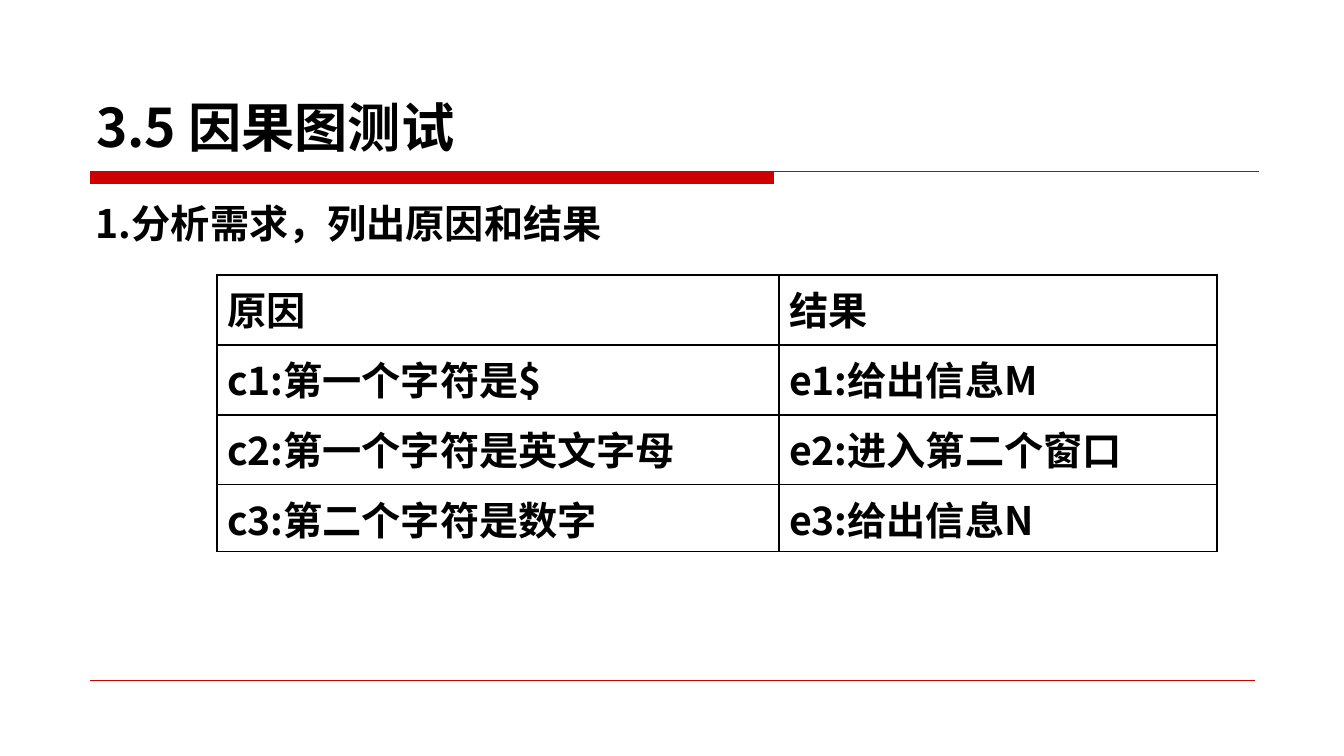
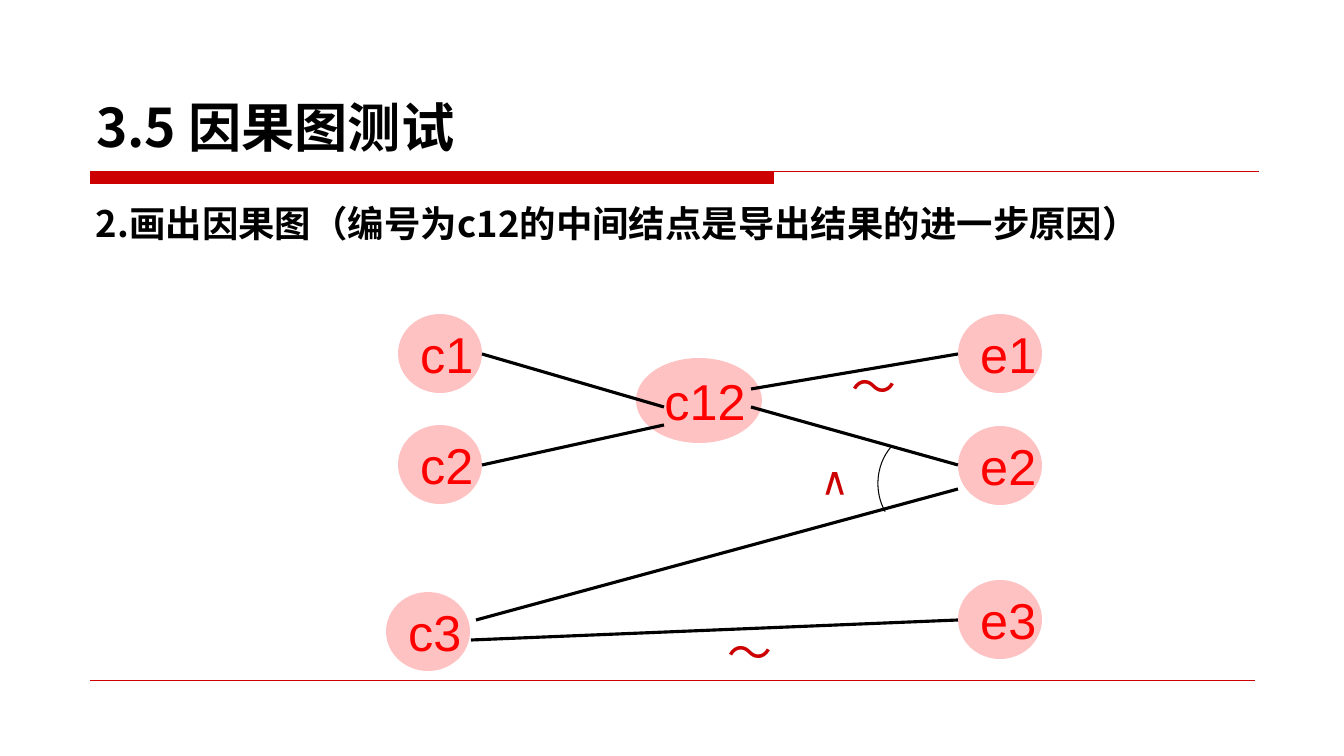
from lxml import etree
from pptx import Presentation
from pptx.dml.color import RGBColor
from pptx.enum.shapes import MSO_CONNECTOR, MSO_SHAPE
from pptx.enum.text import MSO_ANCHOR, MSO_AUTO_SIZE, PP_ALIGN
from pptx.oxml import parse_xml
from pptx.oxml.ns import nsdecls, qn
from pptx.util import Pt

PX = 9071  # EMU per px
BLACK = RGBColor(0x00, 0x00, 0x00)
WHITE = RGBColor(0xFF, 0xFF, 0xFF)
CRIMSON = RGBColor(0xCC, 0x00, 0x00)
RED = RGBColor(0xFF, 0x00, 0x00)
PINK = RGBColor(0xFF, 0xC2, 0xC2)
CJK_FONT = "Noto Sans CJK SC"
SYMBOL_FONT = "DejaVu Sans"


def style(paragraph, size, font=CJK_FONT, colour=BLACK, bold=True):
    """Format a paragraph, using the font for Latin and East Asian text."""
    paragraph.alignment = PP_ALIGN.LEFT
    paragraph.font.size = Pt(size)
    paragraph.font.bold = bold
    paragraph.font.color.rgb = colour
    paragraph.font.name = font
    defaults = paragraph._p.pPr.find(qn("a:defRPr"))
    etree.SubElement(defaults, qn("a:ea")).set("typeface", font)


def add_line(slide, start, end, colour, width):
    """Draw a straight line without shadow between two points in px."""
    line = slide.shapes.add_connector(
        MSO_CONNECTOR.STRAIGHT, *(value * PX for value in start + end))
    line.line.color.rgb = colour
    line.line.width = Pt(width)
    etree.SubElement(line._element.spPr, qn("a:effectLst"))


prs = Presentation()
prs.slide_width, prs.slide_height = 1344 * PX, 756 * PX

# Title, bands and step heading of both slides
steps = [
    ("1.分析需求，列出原因和结果", 28, 180),
    ("2.画出因果图（编号为c12的中间结点是导出结果的进一步原因）", 26, 183),
]
for step, size, top in steps:
    slide = prs.slides.add_slide(prs.slide_layouts[5])
    title = slide.shapes.title
    title.left, title.top, title.width, title.height = 86 * PX, 29 * PX, 882 * PX, 134 * PX
    title.text_frame.text = "3.5 因果图测试"
    title.text_frame.auto_size = MSO_AUTO_SIZE.NONE
    title.text_frame.vertical_anchor = MSO_ANCHOR.BOTTOM
    style(title.text_frame.paragraphs[0], 38)

    band = slide.shapes.add_shape(
        MSO_SHAPE.RECTANGLE, 90 * PX, 172 * PX, 684 * PX, 12 * PX)
    band.shadow.inherit = False
    band.fill.solid()
    band.fill.fore_color.rgb = CRIMSON
    band.line.fill.background()
    add_line(slide, (90, 172), (1259, 172), CRIMSON, 0.75)
    add_line(slide, (90, 680), (1255, 680), CRIMSON, 0.25)

    heading = slide.shapes.add_textbox(86 * PX, top * PX, 1180 * PX, 80 * PX).text_frame
    heading.word_wrap = True
    heading.text = step
    heading.paragraphs[0].line_spacing = 1.3
    style(heading.paragraphs[0], size)

table_slide, graph_slide = prs.slides

# Causes and effects
rows = [
    ("原因", "结果"),
    ("c1:第一个字符是$", "e1:给出信息M"),
    ("c2:第一个字符是英文字母", "e2:进入第二个窗口"),
    ("c3:第二个字符是数字", "e3:给出信息N"),
]
causes = table_slide.shapes.add_table(
    len(rows), 2, 217 * PX, 275 * PX, 1000 * PX, 277 * PX).table
causes.first_row = causes.horz_banding = False
for column, width in zip(causes.columns, (562, 438)):
    column.width = width * PX
for row, height, texts in zip(causes.rows, (70, 70, 70, 67), rows):
    row.height = height * PX
    for cell, text in zip(row.cells, texts):
        cell.text = text
        style(cell.text_frame.paragraphs[0], 28)
        for side in ("lnL", "lnR", "lnT", "lnB"):
            cell._tc.get_or_add_tcPr().append(parse_xml(
                f'<a:{side} {nsdecls("a")} w="12700"><a:solidFill>'
                f'<a:srgbClr val="{BLACK}"/></a:solidFill></a:{side}>'))
        cell.fill.solid()
        cell.fill.fore_color.rgb = WHITE

# Cause-effect graph
nodes = [
    ("c1", 398, 314, 84, 79),
    ("c2", 398, 425, 84, 79),
    ("c3", 386, 592, 84, 79),
    ("c12", 636, 358, 126, 85),
    ("e1", 958, 314, 84, 79),
    ("e2", 958, 426, 84, 79),
    ("e3", 958, 580, 84, 79),
]
for label, *box in nodes:
    node = graph_slide.shapes.add_shape(MSO_SHAPE.OVAL, *(value * PX for value in box))
    node.shadow.inherit = False
    node.fill.solid()
    node.fill.fore_color.rgb = PINK
    node.line.fill.background()
    node.text_frame.text = label
    node.text_frame.word_wrap = False
    node.text_frame.vertical_anchor = MSO_ANCHOR.MIDDLE
    style(node.text_frame.paragraphs[0], 36, "Arial", RED, False)

links = [
    ((482, 354), (664, 407)),
    ((482, 465), (664, 425)),
    ((958, 354), (751, 389)),
    ((958, 465), (751, 407)),
    ((476, 620), (958, 489)),
    ((471, 640), (958, 620)),
]
for start, end in links:
    add_line(graph_slide, start, end, BLACK, 2.25)

and_arc = graph_slide.shapes.add_shape(
    MSO_SHAPE.ARC, 878 * PX, 433 * PX, 85 * PX, 101 * PX)
and_arc.adjustments[0], and_arc.adjustments[1] = 84.85, 140.21
and_arc.shadow.inherit = False
and_arc.fill.background()
and_arc.line.color.rgb = BLACK
and_arc.line.width = Pt(0.75)

operators = [
    ("～", 32, 0, (718, 620, 93, 65)),
    ("～", 32, 0, (842, 354, 93, 65)),
    ("∨", 28, 180, (801, 460, 58, 57)),
]
for symbol, size, rotation, box in operators:
    operator = graph_slide.shapes.add_textbox(*(value * PX for value in box))
    operator.rotation = rotation
    operator.text_frame.word_wrap = True
    operator.text_frame.text = symbol
    style(operator.text_frame.paragraphs[0], size, SYMBOL_FONT, CRIMSON, False)

prs.save("out.pptx")
